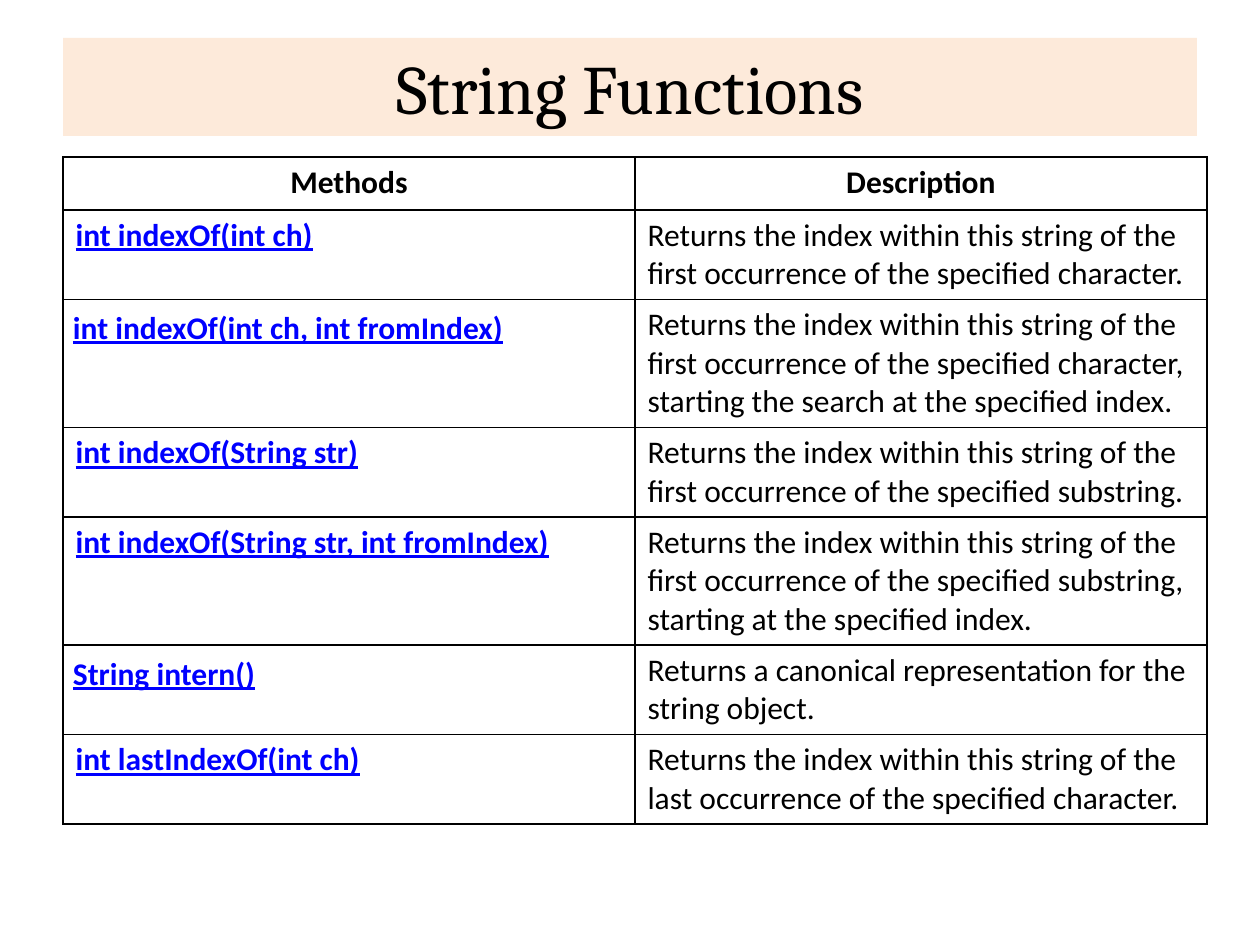
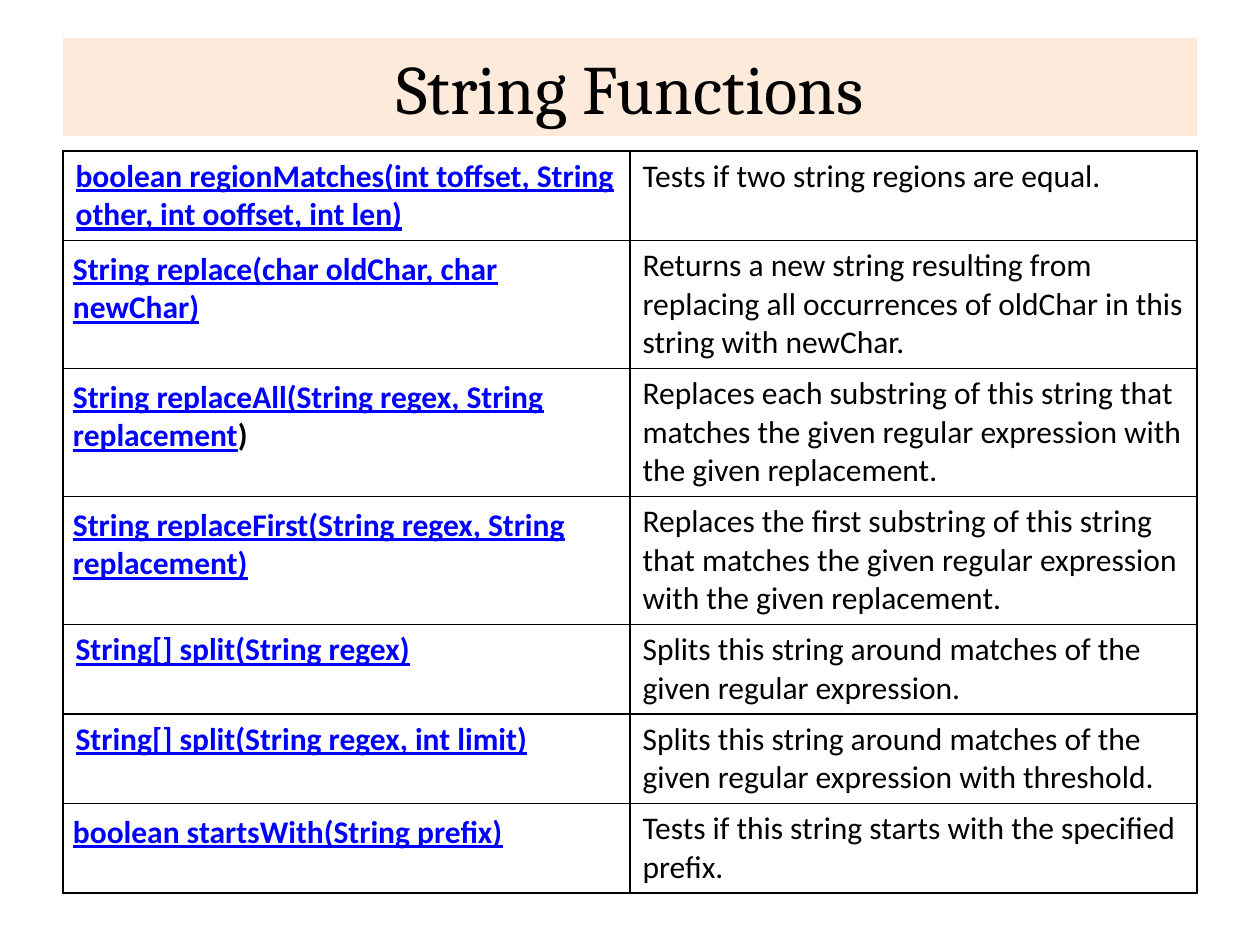
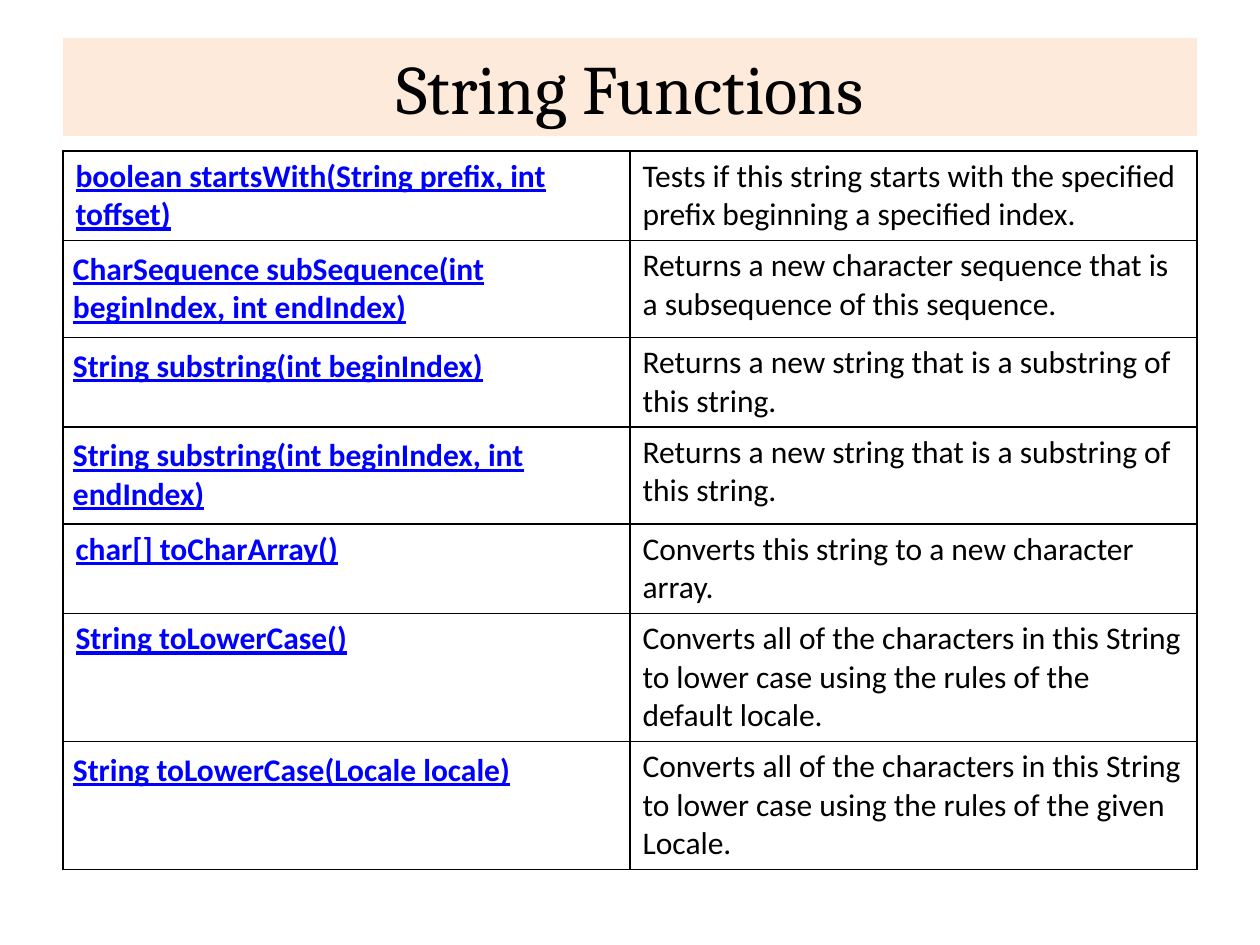
from dataclasses import dataclass

from lxml import etree
from pptx import Presentation
from pptx.dml.color import RGBColor
from pptx.enum import text
from pptx.oxml import ns
from pptx import util as u


@dataclass(frozen=True)
class Theme:
    band: str = "FDEADA"
    ink: str = "000000"
    link: str = "0000FF"
    title_font: str = "Cambria"
    body_font: str = "Calibri"
    title_size: float = 39.6
    body_size: float = 18
    border: float = 1


THEME = Theme()
PX = u.Inches(1) / 126
LEFT = 63
BAND_WIDTH = 1134
ROW_HEIGHT = 53
PADDING = 10
SIDES = ("left", "right", "top", "bottom")
TITLE = "String Functions"
PLAIN, PADDED = False, True


def px(length):
    return round(length * PX)


class Deck:
    def __init__(self, theme):
        self.theme = theme
        self.deck = Presentation()
        self.deck.slide_width, self.deck.slide_height = px(1260), px(945)
        self.page = None

    def add_page(self, title):
        self.page = self.deck.slides.add_slide(self.deck.slide_layouts[5])
        box = self.page.shapes.title
        place = {"left": LEFT, "top": 38, "width": BAND_WIDTH, "height": 98}
        for name, value in place.items():
            setattr(box, name, px(value))
        box.fill.solid()
        box.fill.fore_color.rgb = RGBColor.from_string(self.theme.band)
        frame = box.text_frame
        frame.auto_size = text.MSO_AUTO_SIZE.NONE
        frame.vertical_anchor = text.MSO_ANCHOR.MIDDLE
        para = frame.paragraphs[0]
        para.alignment = text.PP_ALIGN.CENTER
        self.add_span(para, title, name=self.theme.title_font,
                      size=u.Pt(self.theme.title_size))

    def add_span(self, para, words, color=None, **changes):
        span = para.add_run()
        span.text = words
        values = {"name": self.theme.body_font, "size": u.Pt(self.theme.body_size),
                  "bold": False, "underline": False}
        for name, value in (values | changes).items():
            setattr(span.font, name, value)
        span.font.color.rgb = RGBColor.from_string(color or self.theme.ink)

    def add_borders(self, cell):
        properties = cell._tc.get_or_add_tcPr()
        for side in SIDES:
            line = etree.SubElement(properties, ns.qn("a:ln" + side[0].upper()),
                                    w=str(u.Pt(self.theme.border)))
            fill = etree.SubElement(line, ns.qn("a:solidFill"))
            etree.SubElement(fill, ns.qn("a:srgbClr"), val=self.theme.ink)

    def add_method(self, cell, signature, padded, tail=""):
        para = cell.text_frame.paragraphs[0]
        self.add_span(para, signature, self.theme.link, bold=True, underline=True)
        if tail:
            self.add_span(para, tail, bold=True)
        if padded:
            for side in SIDES:
                setattr(cell, "margin_" + side, px(PADDING))

    def add_table(self, methods, top, width, headings=()):
        count = len(methods) + bool(headings)
        table = self.page.shapes.add_table(
            count, 2, px(LEFT), px(top), px(width), px(ROW_HEIGHT * count)).table
        table.first_row = table.horz_banding = False
        for cell in table.iter_cells():
            self.add_borders(cell)
            cell.fill.background()
        for column, heading in enumerate(headings):
            para = table.cell(0, column).text_frame.paragraphs[0]
            para.alignment = text.PP_ALIGN.CENTER
            self.add_span(para, heading, bold=True)
        for row, (padded, signature, description, *tail) in enumerate(methods, bool(headings)):
            self.add_method(table.cell(row, 0), signature, padded, *tail)
            self.add_span(table.cell(row, 1).text_frame.paragraphs[0], description)
        return table


SEARCHING = [
    (PLAIN, "int indexOf(int ch)",
     "Returns the index within this string of the first occurrence of the specified character."),
    (PADDED, "int indexOf(int ch, int fromIndex)",
     "Returns the index within this string of the first occurrence of the specified character, "
     "starting the search at the specified index."),
    (PLAIN, "int indexOf(String str)",
     "Returns the index within this string of the first occurrence of the specified substring."),
    (PLAIN, "int indexOf(String str, int fromIndex)",
     "Returns the index within this string of the first occurrence of the specified substring, "
     "starting at the specified index."),
    (PADDED, "String intern()",
     "Returns a canonical representation for the string object."),
    (PLAIN, "int lastIndexOf(int ch)",
     "Returns the index within this string of the last occurrence of the specified character."),
]

REPLACING = [
    (PLAIN, "boolean regionMatches(int toffset, String other, int ooffset, int len)",
     "Tests if two string regions are equal."),
    (PADDED, "String replace(char oldChar, char newChar)",
     "Returns a new string resulting from replacing all occurrences of oldChar "
     "in this string with newChar."),
    (PADDED, "String replaceAll(String regex, String replacement",
     "Replaces each substring of this string that matches the given regular expression "
     "with the given replacement.", ")"),
    (PADDED, "String replaceFirst(String regex, String replacement)",
     "Replaces the first substring of this string that matches the given regular expression "
     "with the given replacement."),
    (PLAIN, "String[] split(String regex)",
     "Splits this string around matches of the given regular expression."),
    (PLAIN, "String[] split(String regex, int limit)",
     "Splits this string around matches of the given regular expression with threshold."),
    (PADDED, "boolean startsWith(String prefix)",
     "Tests if this string starts with the specified prefix."),
]

CONVERTING = [
    (PLAIN, "boolean startsWith(String prefix, int toffset)",
     "Tests if this string starts with the specified prefix beginning a specified index."),
    (PADDED, "CharSequence subSequence(int beginIndex, int endIndex)",
     "Returns a new character sequence that is a subsequence of this sequence."),
    (PADDED, "String substring(int beginIndex)",
     "Returns a new string that is a substring of this string."),
    (PADDED, "String substring(int beginIndex, int endIndex)",
     "Returns a new string that is a substring of this string."),
    (PLAIN, "char[] toCharArray()",
     "Converts this string to a new character array."),
    (PLAIN, "String toLowerCase()",
     "Converts all of the characters in this String to lower case "
     "using the rules of the default locale."),
    (PADDED, "String toLowerCase(Locale locale)",
     "Converts all of the characters in this String to lower case "
     "using the rules of the given Locale."),
]


def main():
    deck = Deck(THEME)
    deck.add_page(TITLE)
    table = deck.add_table(SEARCHING, 157, 1144, ("Methods", "Description"))
    table.cell(2, 0).text_frame.paragraphs[0].alignment = text.PP_ALIGN.JUSTIFY
    for methods in (REPLACING, CONVERTING):
        deck.add_page(TITLE)
        deck.add_table(methods, 151, BAND_WIDTH)
    deck.deck.save("out.pptx")


if __name__ == "__main__":
    main()
